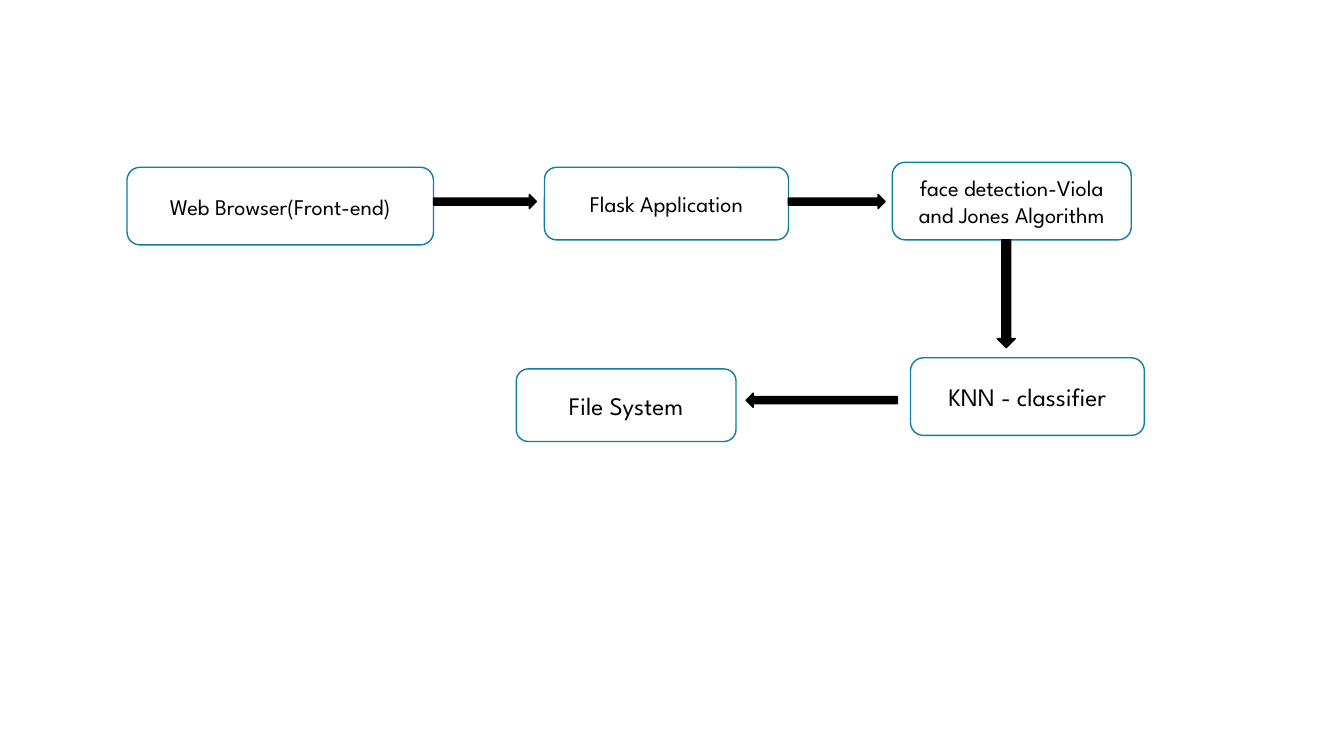
from pptx import Presentation
from pptx.dml.color import RGBColor
from pptx.enum.shapes import MSO_SHAPE as Preset
from pptx.enum.text import MSO_ANCHOR as Anchor, PP_ALIGN as Align
from pptx.util import Pt

EMU_PER_PX = 9144  # 100 px to the inch


def px(length):
    return length * EMU_PER_PX


def colour(hex_code):
    return RGBColor.from_string(hex_code)


class FlowDiagram:
    """Holds the style and the slide that the diagram is drawn on."""
    font = "League Spartan"
    ink, paper, border = "000000", "FFFFFF", "127CA4"

    def __init__(self, slide):
        self.slide = slide
        slide.background.fill.solid()
        slide.background.fill.fore_color.rgb = colour(self.paper)

    def outline(self, preset, place, fill, line):
        shape = self.slide.shapes.add_shape(preset, *map(px, place))
        shape.shadow.inherit = False
        shape.fill.solid()
        shape.fill.fore_color.rgb = colour(fill)
        shape.line.color.rgb = colour(line)
        shape.line.width = Pt(1)
        return shape

    def stage(self, label, place, size):
        box = self.outline(Preset.ROUNDED_RECTANGLE, place, self.paper, self.border)
        frame = box.text_frame
        frame.word_wrap = True
        frame.vertical_anchor = Anchor.MIDDLE
        paragraph = frame.paragraphs[0]
        paragraph.alignment = Align.CENTER
        run = paragraph.add_run()
        run.text = label
        run.font.name = self.font
        run.font.size = Pt(size)
        run.font.color.rgb = colour(self.ink)

    def arrow(self, preset, place, rotation=0):
        self.outline(preset, place, self.ink, self.ink).rotation = rotation


def main():
    deck = Presentation()
    deck.slide_width, deck.slide_height = px(1333), px(750)
    diagram = FlowDiagram(deck.slides.add_slide(deck.slide_layouts[6]))

    # Processing stages: label, (left, top, width, height), text size
    stages = [
        ("Web Browser(Front-end)", (126, 166, 304, 77), 16),
        ("Flask Application", (540, 166, 242, 72), 16),
        ("face detection-Viola and Jones Algorithm", (885, 161, 237, 77), 16),
        ("KNN - classifier", (903, 355, 232, 77), 18),
        ("File System", (512, 366, 218, 72), 18),
    ]
    for label, place, size in stages:
        diagram.stage(label, place, size)

    # Flow from each stage to the next
    diagram.arrow(Preset.RIGHT_ARROW, (430, 193, 102, 14))
    diagram.arrow(Preset.RIGHT_ARROW, (782, 193, 96, 14))
    diagram.arrow(Preset.DOWN_ARROW, (989, 238, 18, 107))
    diagram.arrow(Preset.RIGHT_ARROW, (740, 390, 150, 14), rotation=180)

    deck.save("out.pptx")


if __name__ == "__main__":
    main()
